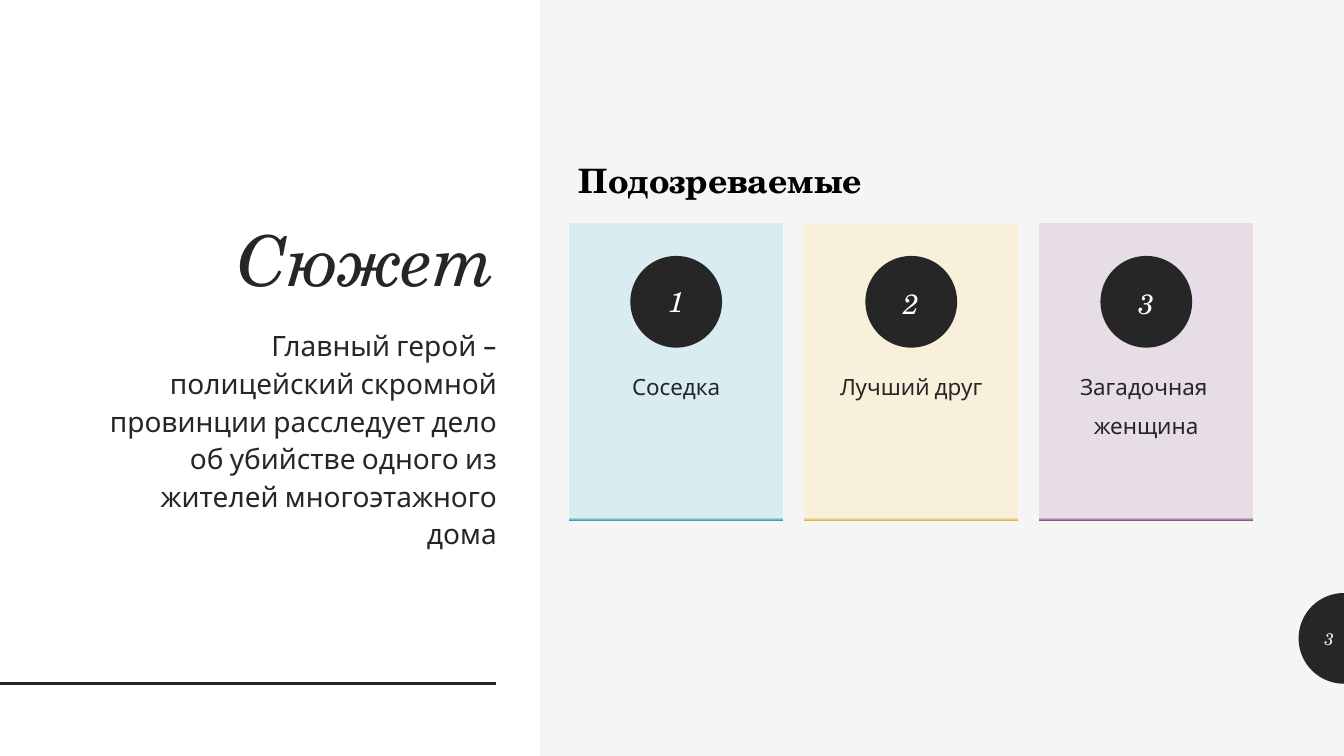
from copy import deepcopy
from dataclasses import dataclass
from math import cos, pi, sin

from lxml import etree
from pptx import Presentation
from pptx.dml.color import RGBColor
from pptx.enum.shapes import MSO_CONNECTOR, MSO_SHAPE
from pptx.enum.text import MSO_ANCHOR, MSO_AUTO_SIZE, PP_ALIGN
from pptx.oxml.ns import qn
from pptx.util import Pt

RECT, OVAL = MSO_SHAPE.RECTANGLE, MSO_SHAPE.OVAL
LINE = MSO_CONNECTOR.STRAIGHT
LEFT, MID, RIGHT = PP_ALIGN.LEFT, PP_ALIGN.CENTER, PP_ALIGN.RIGHT
TOP, CENTRE, BOTTOM = MSO_ANCHOR.TOP, MSO_ANCHOR.MIDDLE, MSO_ANCHOR.BOTTOM
FIXED = MSO_AUTO_SIZE.NONE


@dataclass(frozen=True)
class Theme:
    back: str = "F5F5F5"
    white: str = "FFFFFF"
    dark: str = "262626"
    black: str = "000000"
    serif: str = "TeX Gyre Schola"
    sans: str = "Cabin"
    title: int = 50
    head: int = 24
    body: int = 20
    card: int = 16
    page: int = 12


LOOK = Theme()
WIDE, HIGH = 960, 540

# Suspects: lines, card colour, edge colour, space before, number line spacing
CARDS = [
    (["Соседка"], "D9ECF1", "439EB7", 9, 1.0),
    (["Лучший друг"], "F8F0DB", "DCB64D", 9, 1.12),
    (["Загадочная ", "женщина"], "E7DDE7", "835B82", 6, 1.12),
]


def rgb(code):
    return RGBColor.from_string(code)


def write(shape, *lines, size, font=LOOK.sans, color=LOOK.dark, align=LEFT,
          anchor=TOP, inset=(7.2, 3.6, 7.2, 3.6), bold=False, italic=False,
          space=1.0, before=0):
    frame = shape.text_frame
    frame.auto_size = FIXED
    frame.word_wrap = True
    frame.vertical_anchor = anchor
    (frame.margin_left, frame.margin_top,
     frame.margin_right, frame.margin_bottom) = map(Pt, inset)
    for i, line in enumerate(lines):
        para = frame.paragraphs[0] if i == 0 else frame.add_paragraph()
        para.alignment = align
        para.line_spacing = space
        para.space_before = Pt(before)
        run = para.add_run()
        run.text = line
        run.font.name = font
        run.font.size = Pt(size)
        run.font.bold = bold
        run.font.italic = italic
        run.font.color.rgb = rgb(color)


def paint(shape, color):
    shape.shadow.inherit = False
    shape.line.fill.background()
    shape.fill.solid()
    shape.fill.fore_color.rgb = rgb(color)


def block(slide, kind, box, color):
    shape = slide.shapes.add_shape(kind, *map(Pt, box))
    paint(shape, color)
    return shape


def edge(shape, color, rim):
    """Fill with a flat colour that ends in a thin rim at the bottom."""
    fill = shape.fill
    fill.gradient()
    fill.gradient_angle = 270
    first, last = fill.gradient_stops
    first.color.rgb, first.position = rgb(color), 0
    last.color.rgb, last.position = rgb(rim), 1
    stops = shape.element.spPr.find(".//" + qn("a:gsLst"))
    flat = deepcopy(stops[0])
    flat.set("pos", "99000")
    stops.insert(1, flat)


def rule(slide, x, y, end):
    line = slide.shapes.add_connector(LINE, Pt(x), Pt(y), Pt(end), Pt(y))
    line.line.color.rgb = rgb(LOOK.dark)
    line.line.width = Pt(2)
    etree.SubElement(line.element.spPr, qn("a:effectLst"))


def tab(slide, x, y, r):
    """Draw the left half of a disc."""
    turns = [pi / 2 + pi * i / 48 for i in range(49)]
    dots = [(Pt(x + r * cos(t)), Pt(y - r * sin(t))) for t in turns]
    path = slide.shapes.build_freeform(*dots[0])
    path.add_line_segments(dots[1:], close=True)
    paint(path.convert_to_shape(), LOOK.dark)


def label(slide, box, *lines, **style):
    write(slide.shapes.add_textbox(*map(Pt, box)), *lines, **style)


def heading(slide, box, text, **style):
    title = slide.shapes.title
    title.left, title.top, title.width, title.height = map(Pt, box)
    write(title, text, **style)
    slide.shapes.element.append(title.element)


def card(slide, i, lines, color, rim, before, space):
    x, y, wide, disc = 406.5 + 167.9 * i, 159.3, 153, 65.5
    base = block(slide, RECT, (x, y, wide, 212.5), color)
    edge(base, color, rim)
    write(base, *lines, size=LOOK.card, align=MID, inset=(0, 105, 0, 0),
          space=1.12, before=before)
    spot = (x + (wide - disc) / 2, y + 23.5, disc, disc)
    write(block(slide, OVAL, spot, LOOK.dark), str(i + 1), size=LOOK.body,
          font=LOOK.serif, color=LOOK.white, italic=True, align=MID,
          anchor=CENTRE, inset=(0, 0, 0, 0), space=space, before=9)


def main():
    deck = Presentation()
    deck.slide_width, deck.slide_height = Pt(WIDE), Pt(HIGH)
    slide = deck.slides.add_slide(deck.slide_layouts[5])
    slide.background.fill.solid()
    slide.background.fill.fore_color.rgb = rgb(LOOK.back)

    # Left panel with the plot
    block(slide, RECT, (0, 0, 385.5, HIGH), LOOK.white)
    rule(slide, 0, 488.2, 354.3)
    heading(slide, (60, 44, 301.7, 175), "Сюжет", size=LOOK.title,
            font=LOOK.serif, italic=True, align=RIGHT, anchor=BOTTOM, space=0.9)
    label(slide, (60, 228.5, 302, 224.5),
          "Главный герой – полицейский скромной провинции расследует дело "
          "об убийстве одного из жителей многоэтажного дома",
          size=LOOK.body, align=RIGHT, space=1.12, before=9)

    # Suspects
    label(slide, (406.5, 111, 269.5, 36), "Подозреваемые", size=LOOK.head,
          font=LOOK.serif, color=LOOK.black, bold=True)
    for i, suspect in enumerate(CARDS):
        card(slide, i, *suspect)

    # Page number
    tab(slide, WIDE, 456, 32.4)
    label(slide, (927.8, 441.5, 32.2, 29), "3", size=LOOK.page,
          font=LOOK.serif, color=LOOK.back, italic=True, align=RIGHT,
          anchor=CENTRE)

    deck.save("out.pptx")


if __name__ == "__main__":
    main()
